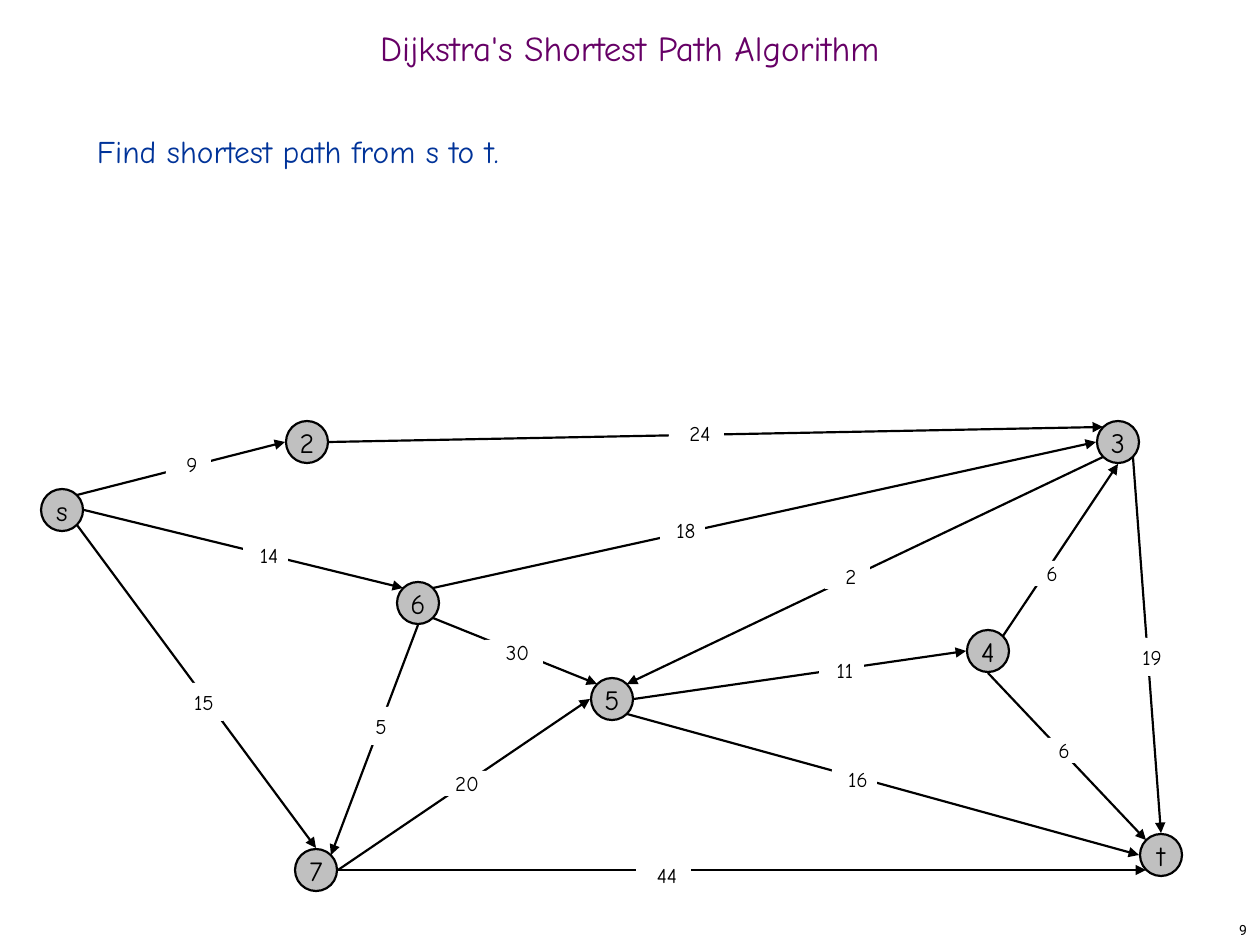
"""Build a slide showing the weighted graph for Dijkstra's shortest path algorithm."""
from dataclasses import dataclass

from lxml import etree
from pptx import Presentation
from pptx import util as u
from pptx.dml.color import RGBColor
from pptx.enum import shapes, text
from pptx.oxml.ns import qn


@dataclass(frozen=True)
class Theme:
    hand: str = "Comic Neue"
    plain: str = "Roboto"
    title: str = "660066"
    body: str = "003399"
    ink: str = "000000"
    node: str = "C0C0C0"
    paper: str = "FFFFFF"
    title_size: int = 20
    body_size: int = 18
    node_size: int = 16
    weight_size: int = 12
    number_size: int = 8
    stroke: float = 1.25


theme = Theme()
EMU_PER_PX = 914400 / 126


def px(*lengths):
    return [u.Emu(round(length * EMU_PER_PX)) for length in lengths]


def write(shape, words, size, color, font=theme.hand, align=text.PP_ALIGN.CENTER,
          anchor=text.MSO_ANCHOR.MIDDLE, inset=(0, 0), wrap=True):
    frame = shape.text_frame
    frame.auto_size = text.MSO_AUTO_SIZE.NONE
    frame.word_wrap = wrap
    frame.vertical_anchor = anchor
    frame.margin_left = frame.margin_right = px(inset[0])[0]
    frame.margin_top = frame.margin_bottom = px(inset[1])[0]
    paragraph = frame.paragraphs[0]
    paragraph.alignment = align
    paragraph.space_before = u.Pt(0)
    run = paragraph.add_run()
    run.text = words
    run.font.name = font
    run.font.size = u.Pt(size)
    run.font.color.rgb = RGBColor.from_string(color)
    return paragraph


deck = Presentation()
deck.slide_width, deck.slide_height = px(1260, 945)
slide = deck.slides.add_slide(deck.slide_layouts[1])

title = slide.shapes.title
title.left, title.top, title.width, title.height = px(0, 21, 1260, 63)
heading = write(title, "Dijkstra's Shortest Path Algorithm", theme.title_size,
                theme.title, inset=(13, 6))
heading.line_spacing = 0.7

task = slide.placeholders[1]
task.left, task.top, task.width, task.height = px(84, 126, 1081, 746)
goal = write(task, "Find shortest path from s to t.", theme.body_size, theme.body,
             align=text.PP_ALIGN.LEFT, anchor=text.MSO_ANCHOR.TOP, inset=(13, 6))
goal_format = goal._p.get_or_add_pPr()
goal_format.set("marL", "0")
goal_format.set("indent", "0")
etree.SubElement(goal_format, qn("a:buNone"))

page_number = slide.shapes.add_textbox(*px(998, 914, 262, 31))
write(page_number, "9", theme.number_size, theme.ink, font=theme.plain,
      align=text.PP_ALIGN.RIGHT, inset=(13, 6))

RADIUS = 21
vertices = {
    "s": (62, 510), "3": (1118, 442), "t": (1161, 855), "2": (307, 442),
    "6": (418, 603), "7": (316, 870), "4": (988, 651), "5": (612, 699),
}
for name, (x, y) in vertices.items():
    vertex = slide.shapes.add_shape(
        shapes.MSO_SHAPE.OVAL, *px(x - RADIUS, y - RADIUS, 2 * RADIUS, 2 * RADIUS))
    vertex.shadow.inherit = False
    vertex.fill.solid()
    vertex.fill.fore_color.rgb = RGBColor.from_string(theme.node)
    vertex.line.color.rgb = RGBColor.from_string(theme.ink)
    vertex.line.width = u.Pt(theme.stroke)
    write(vertex, name, theme.node_size, theme.ink, wrap=False)

STRAIGHT, DIAGONAL = 22, 15
ports = {
    "N": (0, -STRAIGHT), "E": (STRAIGHT, 0), "S": (0, STRAIGHT), "W": (-STRAIGHT, 0),
    "NE": (DIAGONAL, -DIAGONAL), "SE": (DIAGONAL, DIAGONAL),
    "SW": (-DIAGONAL, DIAGONAL), "NW": (-DIAGONAL, -DIAGONAL),
}
LOW, TALL = 25, 38
edges = [
    ("s", "NE", "2", "W", 9, (166, 452, 45, LOW)),
    ("s", "E", "6", "NW", 14, (243, 543, 45, LOW)),
    ("s", "SE", "7", "N", 15, (178, 683, 45, TALL)),
    ("6", "NE", "3", "W", 18, (660, 518, 45, LOW)),
    ("4", "NE", "3", "S", 6, (1026, 561, 45, LOW)),
    ("6", "SE", "5", "NW", 30, (485, 640, 58, LOW)),
    ("5", "SE", "t", "W", 16, (832, 767, 45, LOW)),
    ("5", "E", "4", "W", 11, (819, 658, 45, LOW)),
    ("4", "S", "t", "NW", 6, (1038, 738, 45, LOW)),
    ("3", "SW", "5", "NE", 2, (825, 564, 45, LOW)),
    ("6", "S", "7", "NE", 5, (355, 707, 45, TALL)),
    ("7", "E", "5", "W", 20, (436, 771, 55, LOW)),
    ("2", "E", "3", "NW", 24, (669, 421, 55, LOW)),
    ("7", "E", "t", "SW", 44, (636, 863, 55, LOW)),
    ("3", "SE", "t", "N", 19, (1126, 638, 45, TALL)),
]
for source, exit_port, target, entry_port, _, _ in edges:
    start = [a + b for a, b in zip(vertices[source], ports[exit_port])]
    end = [a + b for a, b in zip(vertices[target], ports[entry_port])]
    edge = slide.shapes.add_connector(shapes.MSO_CONNECTOR.STRAIGHT, *px(*start, *end))
    edge.line.color.rgb = RGBColor.from_string(theme.ink)
    edge.line.width = u.Pt(theme.stroke)
    etree.SubElement(edge.line._get_or_add_ln(), qn("a:tailEnd"), type="triangle")
    etree.SubElement(edge._element.spPr, qn("a:effectLst"))

for *_, cost, bounds in edges:
    weight = slide.shapes.add_shape(shapes.MSO_SHAPE.RECTANGLE, *px(*bounds))
    weight.shadow.inherit = False
    weight.fill.solid()
    weight.fill.fore_color.rgb = RGBColor.from_string(theme.paper)
    weight.line.fill.background()
    write(weight, f" {cost}", theme.weight_size, theme.ink)

deck.save("out.pptx")
